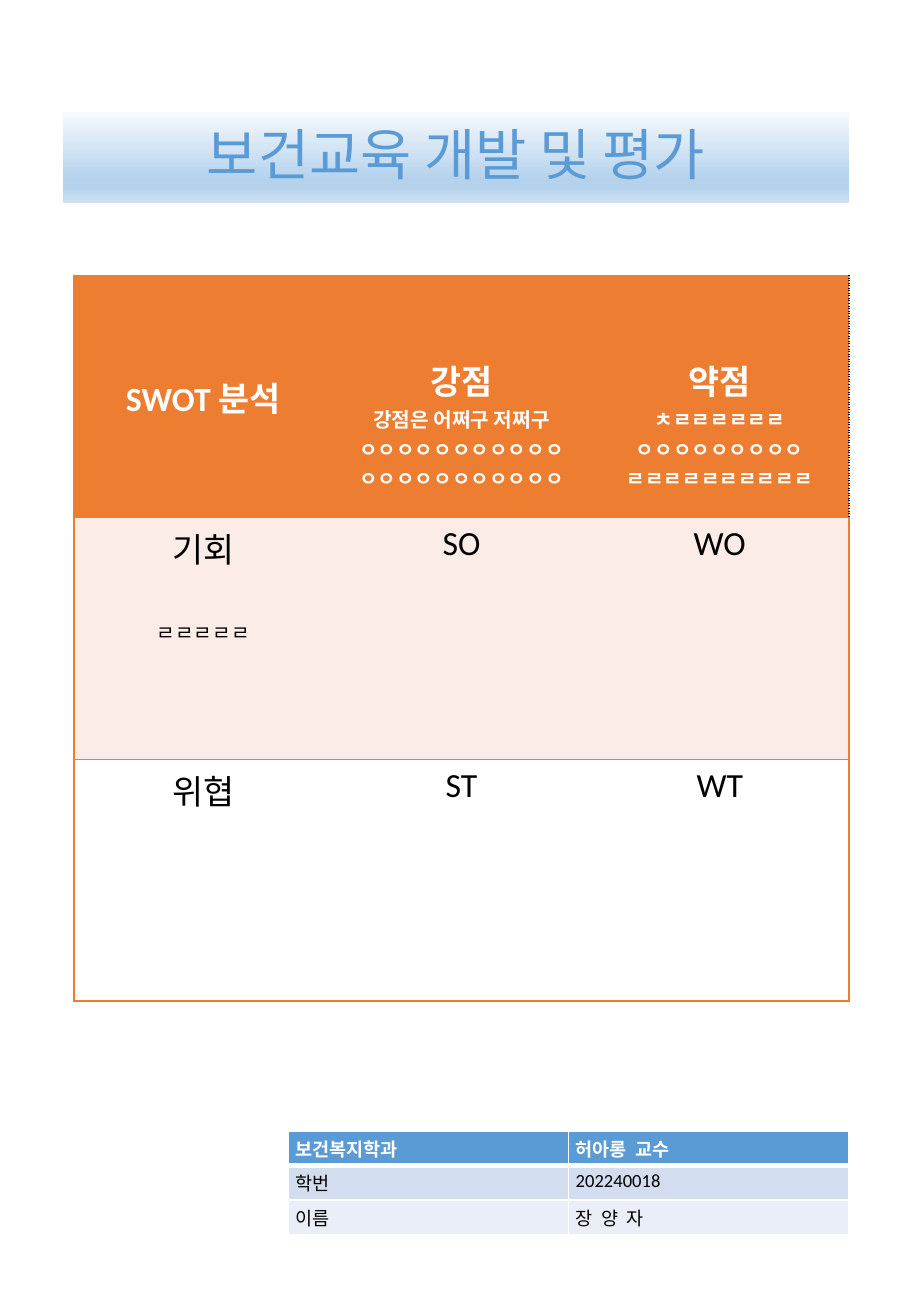
from dataclasses import dataclass

from lxml import etree
from pptx import Presentation
from pptx.dml.color import RGBColor
from pptx.enum import text
from pptx.oxml import ns
from pptx.util import Inches, Pt


@dataclass(frozen=True)
class Theme:
    font: str = "Calibri"
    blue: str = "5B9BD5"
    orange: str = "ED7D31"
    white: str = "FFFFFF"
    black: str = "000000"
    swot_rows: tuple = ("ED7D31", "FCECE8", "FFFFFF")
    info_rows: tuple = ("5B9BD5", "D2DEEF", "EAEFF7")
    banner: tuple = ((0, "F7FAFD"), (74, "B5D2EC"), (83, "B5D2EC"), (100, "CEE1F2"))
    title: int = 33
    heading: int = 20
    detail: int = 12
    info: int = 11
    plain_table: str = "{2D5ABB26-0587-4C30-8999-92F81FD0307C}"


def child(parent, tag, **attrs):
    return etree.SubElement(parent, ns.qn(tag), **attrs)


class Page:
    def __init__(self, s, theme):
        self.s = s
        self.theme = theme

    def add_text(self, p, words, size, color, bold=False, align=None, spacing=None):
        p.alignment = align
        p.line_spacing = spacing
        r = p.add_run()
        r.text = words
        r.font.name = self.theme.font
        r.font.size = Pt(size)
        r.font.bold = bold
        r.font.color.rgb = RGBColor.from_string(color)

    def title(self, words, left, top, width, height):
        sp = self.s.shapes.title
        sp.left, sp.top = Inches(left), Inches(top)
        sp.width, sp.height = Inches(width), Inches(height)
        sp.fill.gradient()
        sp.fill.gradient_angle = 270
        stops = sp.element.spPr.find(".//" + ns.qn("a:gsLst"))
        stops.clear()
        for position, color in self.theme.banner:
            stop = child(stops, "a:gs", pos=str(position * 1000))
            child(stop, "a:srgbClr", val=color)
        tf = sp.text_frame
        tf.auto_size = text.MSO_AUTO_SIZE.NONE
        tf.vertical_anchor = text.MSO_ANCHOR.MIDDLE
        self.add_text(tf.paragraphs[0], words, self.theme.title, self.theme.blue,
                      align=text.PP_ALIGN.CENTER, spacing=0.9)

    def border(self, cell, edges):
        tcPr = cell._tc.get_or_add_tcPr()
        for side in "LRTB":
            if side in edges:
                color, width, dash = edges[side]
                ln = child(tcPr, "a:ln" + side, w=str(Pt(width)))
                child(child(ln, "a:solidFill"), "a:srgbClr", val=color)
                child(ln, "a:prstDash", val=dash)

    def table(self, rows, left, top, width, height, fills, edges_at, inset, align=None):
        count, columns = len(rows), len(rows[0])
        frame = self.s.shapes.add_table(count, columns, Inches(left), Inches(top),
                                        Inches(width), Inches(height))
        tbl = frame.table
        frame.element.find(".//" + ns.qn("a:tableStyleId")).text = self.theme.plain_table
        for i, row in enumerate(rows):
            for j, lines in enumerate(row):
                cell = tbl.cell(i, j)
                self.border(cell, edges_at(i, j))
                cell.fill.solid()
                cell.fill.fore_color.rgb = RGBColor.from_string(fills[i])
                cell.margin_left = cell.margin_right = Inches(inset[0])
                cell.margin_top = cell.margin_bottom = Inches(inset[1])
                tf = cell.text_frame
                for k, (words, size, spacing) in enumerate(lines):
                    p = tf.add_paragraph() if k else tf.paragraphs[0]
                    color = self.theme.black if i else self.theme.white
                    self.add_text(p, words, size, color, i == 0, align, spacing)
        return tbl


theme = Theme()


def swot_edges(i, j):
    line = (theme.orange, 1, "solid")
    edges = {"T": line, "B": line}
    if j == 0:
        edges["L"] = line
    if j == 2:
        edges["R"] = line if i else (theme.black, 1, "sysDot")
    return edges


def info_edges(i, j):
    line = (theme.white, 1, "solid")
    header_rule = (theme.white, 3, "solid")
    return {"L": line, "R": line, "T": header_rule if i == 1 else line,
            "B": line if i else header_rule}


def heading(words, spacing=None):
    return words, theme.heading, spacing


def detail(words, spacing=None):
    return words, theme.detail, spacing


def info(words):
    return [(words, theme.info, None)]


prs = Presentation()
prs.slide_width, prs.slide_height = Inches(7.5), Inches(10.83)
page = Page(prs.slides.add_slide(prs.slide_layouts[5]), theme)

page.title("보건교육 개발 및 평가", 0.52, 0.92, 6.47, 0.75)

swot = [
    [[heading("SWOT 분석")],
     [heading("강점", 2.5), detail("강점은 어쩌구 저쩌구"),
      detail("ㅇ" * 11), detail("ㅇ" * 11)],
     [heading("약점", 2.5), detail("ㅊ" + "ㄹ" * 6),
      detail("ㅇ" * 9), detail("ㄹ" * 10)]],
    [[heading("기회"), detail("ㄹ" * 5, 2.5)], [heading("SO")], [heading("WO")]],
    [[heading("위협")], [heading("ST")], [heading("WT")]],
]
tbl = page.table(swot, 0.61, 2.27, 6.38, 5.97, theme.swot_rows, swot_edges,
                 (0.11, 0.05), text.PP_ALIGN.CENTER)
tbl.cell(0, 0).vertical_anchor = text.MSO_ANCHOR.MIDDLE

student = [
    [info("보건복지학과"), info("허아롱  교수")],
    [info("학번"), info("202240018")],
    [info("이름"), info("장  양  자")],
]
page.table(student, 2.37, 9.31, 4.62, 0.85, theme.info_rows, info_edges, (0.06, 0.03))

prs.save("out.pptx")
